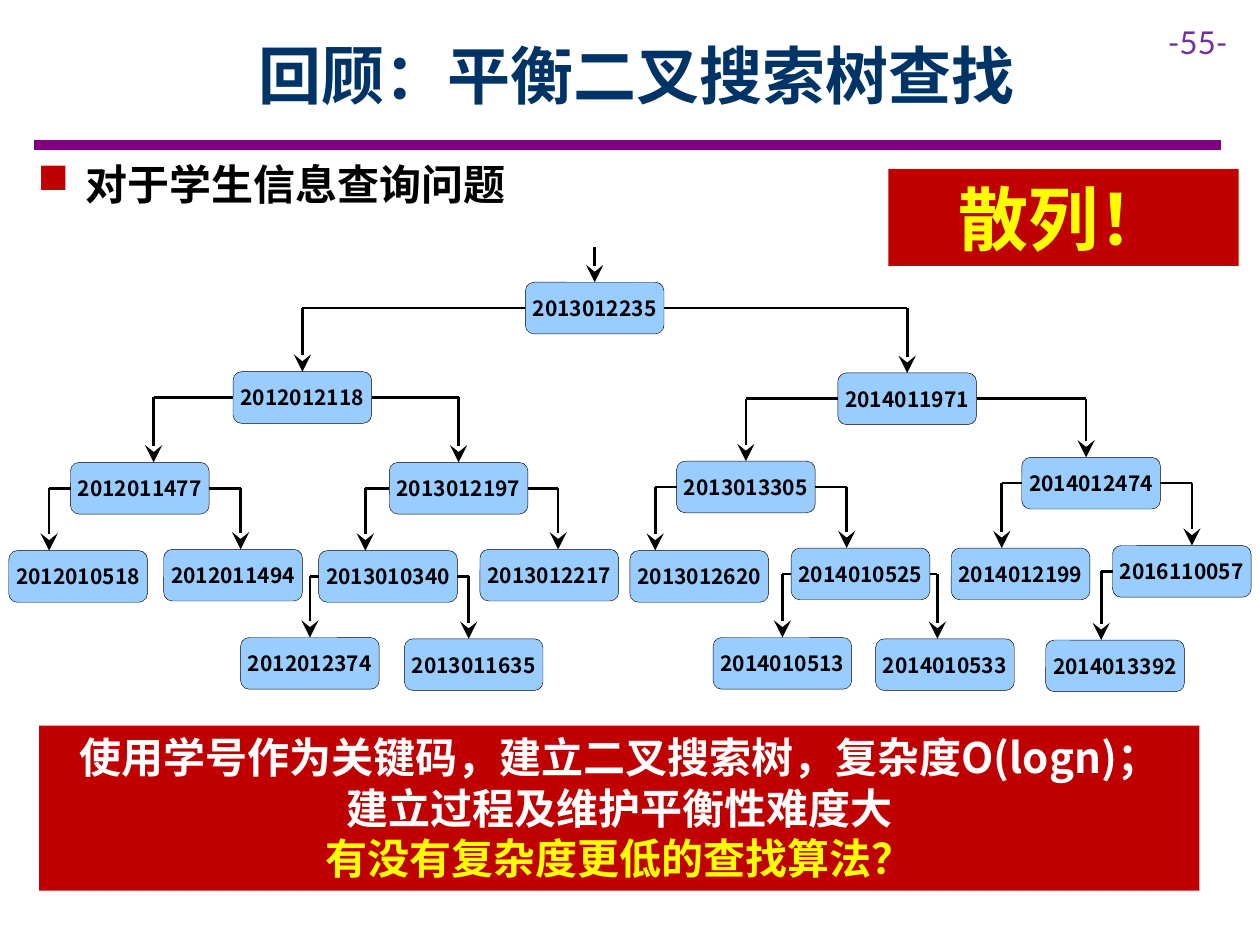
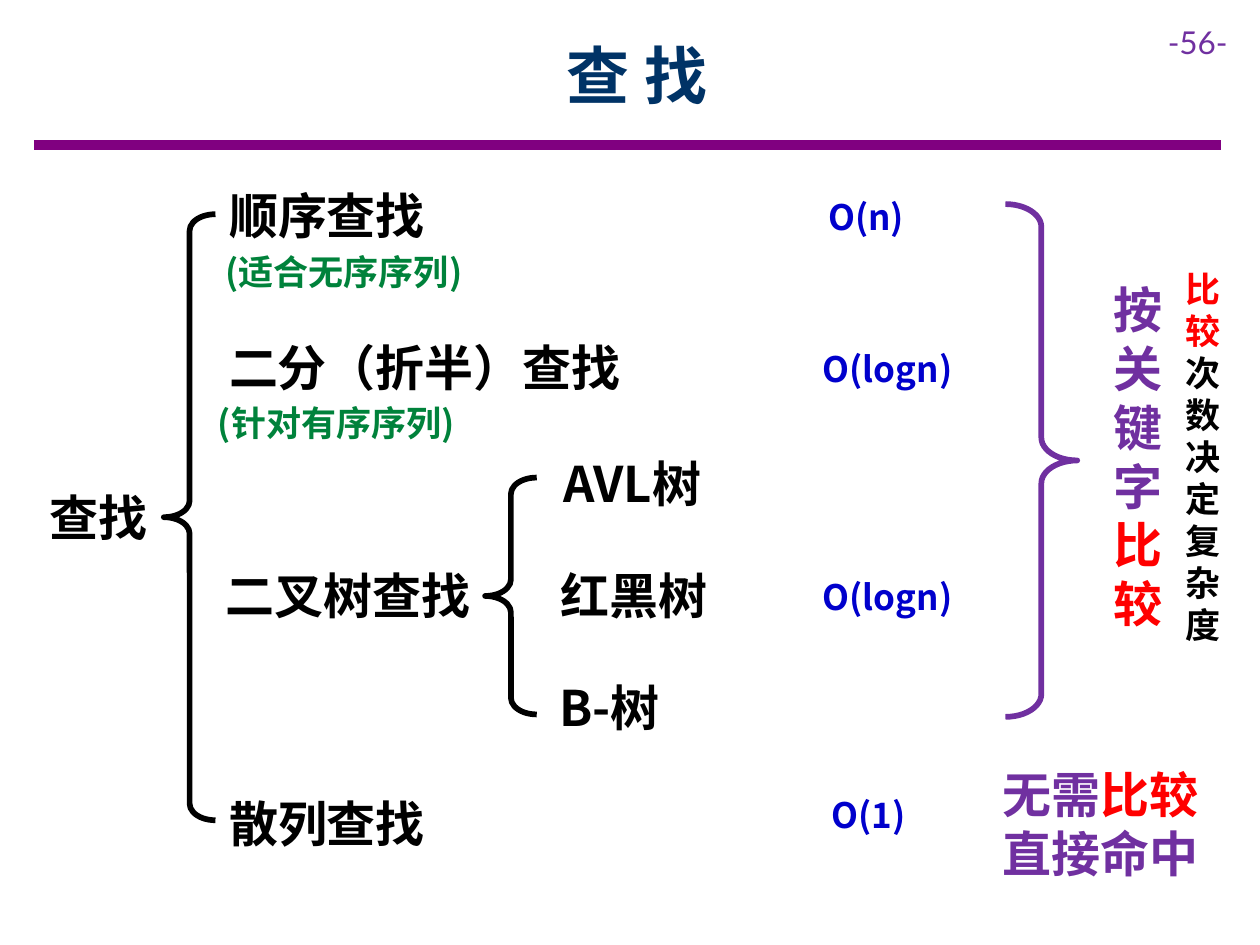
import dataclasses

import lxml.etree
import pptx
import pptx.dml.color
import pptx.enum.shapes
import pptx.enum.text
import pptx.oxml.ns
import pptx.util

SHAPES = pptx.enum.shapes.MSO_SHAPE
ALIGN = pptx.enum.text.PP_ALIGN
ANCHOR = pptx.enum.text.MSO_ANCHOR
AUTO_SIZE = pptx.enum.text.MSO_AUTO_SIZE
EMU_PER_PX = 9144


@dataclasses.dataclass(frozen=True)
class Theme:
    font: str = "Noto Sans CJK SC"
    number_font: str = "Lato"
    black: str = "000000"
    white: str = "FFFFFF"
    rule: str = "800080"
    title: str = "003366"
    purple: str = "7030A0"
    crimson: str = "C00000"
    red: str = "FF0000"
    yellow: str = "FFFF00"
    node: str = "99CCFF"
    cost: str = "0000CC"
    remark: str = "00823B"
    shout_pt: int = 40
    title_pt: int = 36
    branch_pt: int = 28
    body_pt: int = 24
    small_pt: int = 20
    number_pt: int = 18
    node_pt: int = 12


def px(length):
    return round(length * EMU_PER_PX)


def rgb(colour):
    return pptx.dml.color.RGBColor.from_string(colour)


def add_xml(parent, tag, **attributes):
    return lxml.etree.SubElement(parent, pptx.oxml.ns.qn(tag), **attributes)


class Deck:
    def __init__(self, theme):
        self.theme = theme
        self.presentation = pptx.Presentation()
        self.presentation.slide_width = px(1000)
        self.presentation.slide_height = px(750)
        self.slide = None

    def start_slide(self, title, number):
        theme = self.theme
        blank = self.presentation.slide_layouts[6]
        self.slide = self.presentation.slides.add_slide(blank)
        self.line((27, 115), (969, 115), theme.rule, 6)
        self.text((917, 13, 83, 40), [[(number, theme.purple)]],
                  theme.number_pt, font=theme.number_font, bold=False)
        self.text((90, 9, 831, 100), [[(title, theme.title)]], theme.title_pt,
                  ALIGN.CENTER, ANCHOR.MIDDLE, grow=False)

    def set_text(self, frame, paragraphs, size, align=ALIGN.LEFT, anchor=ANCHOR.TOP,
                 grow=True, font=None, bold=True):
        frame.word_wrap = True
        frame.auto_size = AUTO_SIZE.SHAPE_TO_FIT_TEXT if grow else AUTO_SIZE.NONE
        frame.vertical_anchor = anchor
        for index, runs in enumerate(paragraphs):
            paragraph = frame.add_paragraph() if index else frame.paragraphs[0]
            paragraph.alignment = align
            for words, colour in runs:
                run = paragraph.add_run()
                run.text = words
                run.font.name = font or self.theme.font
                run.font.size = pptx.util.Pt(size)
                run.font.bold = bold
                run.font.color.rgb = rgb(colour)
                add_xml(run.font._element, "a:ea", typeface=run.font.name)

    def text(self, box, paragraphs, size, *options, **style):
        frame = self.slide.shapes.add_textbox(*map(px, box)).text_frame
        self.set_text(frame, paragraphs, size, *options, **style)
        return frame

    def bullet(self, box, words):
        theme = self.theme
        frame = self.text(box, [[(words, theme.black)]], theme.body_pt)
        paragraph = frame.paragraphs[0]
        paragraph.space_after = pptx.util.Pt(6)
        properties = paragraph._p.get_or_add_pPr()
        properties.set("marL", str(px(38)))
        properties.set("indent", str(px(-38)))
        add_xml(add_xml(properties, "a:buClr"), "a:srgbClr", val=theme.crimson)
        add_xml(properties, "a:buChar", char="■")

    def shape(self, kind, box, fill, outline=None, width=0):
        shape = self.slide.shapes.add_shape(kind, *map(px, box))
        shape.shadow.inherit = False
        shape.fill.solid()
        shape.fill.fore_color.rgb = rgb(fill)
        if outline:
            shape.line.color.rgb = rgb(outline)
            shape.line.width = pptx.util.Pt(width)
        else:
            shape.line.fill.background()
        return shape

    def banner(self, box, paragraphs, size):
        banner = self.shape(SHAPES.RECTANGLE, box, self.theme.crimson)
        self.set_text(banner.text_frame, paragraphs, size, ALIGN.CENTER)

    def node(self, box, key):
        theme = self.theme
        node = self.shape(SHAPES.ROUNDED_RECTANGLE, box, theme.node, theme.black, 0.25)
        node.text_frame.margin_left = node.text_frame.margin_right = 0
        node.text_frame.margin_top = node.text_frame.margin_bottom = px(10)
        self.set_text(node.text_frame, [[(key, theme.black)]], theme.node_pt,
                      ALIGN.CENTER, ANCHOR.MIDDLE, grow=False)
        return node

    def brace(self, kind, box, colour):
        brace = self.shape(kind, box, self.theme.white, colour, 3.25)
        brace.adjustments[0] = 0.318
        brace.adjustments[1] = 0.5

    def line(self, start, end, colour, width, arrow=False):
        line = self.slide.shapes.add_connector(
            pptx.enum.shapes.MSO_CONNECTOR.STRAIGHT, *map(px, start + end))
        line.line.color.rgb = rgb(colour)
        line.line.width = pptx.util.Pt(width)
        if arrow:
            add_xml(line.line._get_or_add_ln(), "a:tailEnd",
                    type="stealth", w="lg", len="lg")
        add_xml(line._element.spPr, "a:effectLst")
        return line


NODE_WIDTH, NODE_HEIGHT = 110, 41

STUDENTS = [
    ("2013012235", 417, 224, None, 0),
    ("2012012118", 185, 295, "2013012235", 0),
    ("2014011971", 665, 296, "2013012235", 0),
    ("2012011477", 56, 367, "2012012118", 11),
    ("2013012197", 309, 367, "2012012118", 0),
    ("2013013305", 537, 366, "2014011971", 0),
    ("2014012474", 811, 363, "2014011971", -4),
    ("2012010518", 7, 437, "2012011477", -23),
    ("2012011494", 130, 436, "2012011477", 6),
    ("2013010340", 253, 437, "2013012197", -18),
    ("2013012217", 381, 436, "2013012197", 7),
    ("2013012620", 500, 437, "2013013305", -35),
    ("2014010525", 628, 435, "2013013305", -11),
    ("2014012199", 755, 435, "2014012474", -15),
    ("2016110057", 883, 433, "2014012474", 8),
    ("2012012374", 191, 506, "2013010340", 0),
    ("2013011635", 321, 507, "2013010340", -4),
    ("2014010513", 566, 506, "2014010525", 0),
    ("2014010533", 695, 507, "2014010525", -6),
    ("2014013392", 830, 508, "2016110057", -11),
]


def draw_search_tree(deck):
    black = deck.theme.black
    placed = {}
    for key, left, top, parent, shift in STUDENTS:
        node = deck.node((left, top, NODE_WIDTH, NODE_HEIGHT), key)
        placed[key] = node, left, top
        drop = left + NODE_WIDTH // 2 + shift
        elbow = top - 28
        if parent:
            parent_node, parent_left, parent_top = placed[parent]
            goes_left = drop < parent_left
            side = parent_left if goes_left else parent_left + NODE_WIDTH
            elbow = parent_top + NODE_HEIGHT / 2
            branch = deck.line((side, elbow), (drop, elbow), black, 1.5)
            branch.begin_connect(parent_node, 1 if goes_left else 3)
        arrow = deck.line((drop, elbow), (drop, top), black, 1.5, arrow=True)
        if not shift:
            arrow.end_connect(node, 0)


def build_tree_slide(deck):
    theme = deck.theme
    deck.start_slide("回顾：平衡二叉搜索树查找", "-55-")
    deck.bullet((20, 121, 520, 50), "对于学生信息查询问题")
    deck.banner((31, 576, 921, 131), [
        [("使用学号作为关键码，建立二叉搜索树，复杂度O(logn)；", theme.white)],
        [("建立过程及维护平衡性难度大", theme.white)],
        [("有没有复杂度更低的查找算法？", theme.yellow)],
    ], theme.body_pt)
    draw_search_tree(deck)
    deck.banner((705, 134, 278, 77), [[("散列！", theme.yellow)]], theme.shout_pt)


def build_summary_slide(deck):
    theme = deck.theme
    deck.start_slide("查 找", "-56-")
    deck.text((0, 382, 157, 57), [[("查找", theme.black)]], theme.branch_pt, ALIGN.CENTER)
    deck.brace(SHAPES.LEFT_BRACE, (130, 170, 41, 481), theme.black)
    deck.brace(SHAPES.LEFT_BRACE, (385, 379, 41, 188), theme.black)
    deck.brace(SHAPES.RIGHT_BRACE, (798, 162, 57, 407), theme.purple)

    for method, left, top, width in [
        ("顺序查找", 172, 142, 198),
        ("二分（折半）查找", 172, 263, 336),
        ("二叉树查找", 169, 444, 216),
        ("散列查找", 172, 625, 252),
        ("AVL树", 437, 355, 141),
        ("红黑树", 435, 444, 216),
        ("B-树", 434, 533, 216),
    ]:
        deck.text((left, top, width, 57), [[(method, theme.black)]], theme.branch_pt)

    for remark, left, top in [("(适合无序序列)", 169, 194), ("(针对有序序列)", 163, 314)]:
        deck.text((left, top, 258, 44), [[(remark, theme.remark)]], theme.small_pt)

    for cost, left, top, align in [
        ("O(n)", 616, 150, ALIGN.CENTER),
        ("O(logn)", 643, 271, ALIGN.LEFT),
        ("O(logn)", 643, 452, ALIGN.LEFT),
        ("O(1)", 618, 625, ALIGN.CENTER),
    ]:
        deck.text((left, top, 143, 44), [[(cost, theme.cost)]], theme.small_pt, align)

    compare = ("比较", theme.red)
    deck.text((874, 217, 71, 293), [[("按关键字", theme.purple), compare]], theme.branch_pt)
    deck.text((786, 602, 200, 104), [
        [("无需", theme.purple), compare],
        [("直接命中", theme.purple)],
    ], theme.branch_pt)
    deck.text((931, 207, 69, 313), [[compare, ("次数决定复杂度", theme.black)]],
              theme.small_pt)


def main():
    deck = Deck(Theme())
    build_tree_slide(deck)
    build_summary_slide(deck)
    deck.presentation.save("out.pptx")


if __name__ == "__main__":
    main()
